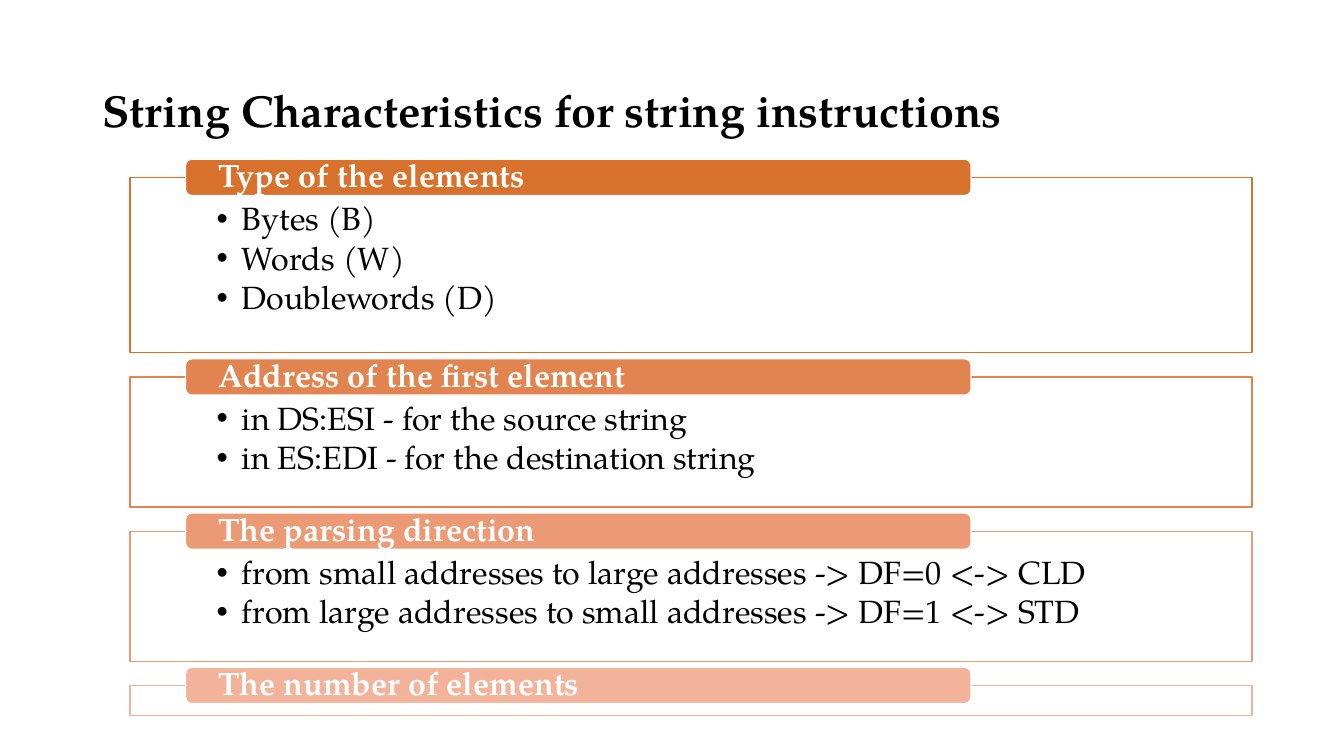
from pptx import Presentation
from pptx.dml.color import RGBColor
from pptx.enum.shapes import MSO_SHAPE
from pptx.enum.text import MSO_ANCHOR, MSO_AUTO_SIZE, PP_ALIGN
from pptx.util import Inches, Pt
from lxml.etree import SubElement
from pptx.oxml.ns import qn

COLORS = {"ink": "000000", "paper": "FFFFFF", "type": "D7712C",
          "address": "E28450", "parsing": "EB9A75", "number": "F3B39B"}
GAP = 0.24
GROUPS = [
    ("type", 1.74, "Type of the elements",
     ["Bytes (B)", "Words (W)", "Doublewords (D)"]),
    ("address", 1.29, "Address of the first element",
     ["in DS:ESI - for the source string",
      "in ES:EDI - for the destination string"]),
    ("parsing", 1.29, "The parsing direction",
     ["from small addresses to large addresses -> DF=0 <-> CLD",
      "from large addresses to small addresses -> DF=1 <-> STD"]),
    ("number", 0.3, "The number of elements", []),
]


def write(frame, lines, size, color, bold, after, **form):
    form = {"word_wrap": True, "auto_size": MSO_AUTO_SIZE.NONE, **form}
    for key, value in form.items():
        setattr(frame, key, value)
    for num, line in enumerate(lines):
        para = frame.paragraphs[0] if num == 0 else frame.add_paragraph()
        style = {"alignment": PP_ALIGN.LEFT, "line_spacing": 0.9,
                 "space_before": Pt(0), "space_after": Pt(after)}
        for key, value in style.items():
            setattr(para, key, value)
        run = para.add_run()
        run.text = line
        face = {"name": "TeX Gyre Pagella", "size": Pt(size), "bold": bold}
        for key, value in face.items():
            setattr(run.font, key, value)
        run.font.color.rgb = RGBColor.from_string(COLORS[color])


def draw(kind, left, top, width, height, fill, line):
    shape = slide.shapes.add_shape(
        kind, Inches(left), Inches(top), Inches(width), Inches(height))
    shape.shadow.inherit = False
    shape.fill.solid()
    shape.fill.fore_color.rgb = RGBColor.from_string(COLORS[fill])
    shape.line.color.rgb = RGBColor.from_string(COLORS[line])
    shape.line.width = Pt(1)
    return shape


deck = Presentation()
deck.slide_width, deck.slide_height = Inches(13.33), Inches(7.5)
slide = deck.slides.add_slide(deck.slide_layouts[5])

title = slide.shapes.title
place = {"left": 0.92, "top": 0.4, "width": 11.5, "height": 1.45}
for key, value in place.items():
    setattr(title, key, Inches(value))
write(title.text_frame, ["String Characteristics for string instructions"],
      32, "ink", True, 0, vertical_anchor=MSO_ANCHOR.MIDDLE)

top = 1.76
for tint, height, head, items in GROUPS:
    box = draw(MSO_SHAPE.RECTANGLE, 1.29, top, 11.13, height, "paper", tint)
    if items:
        write(box.text_frame, items, 23, "ink", False, 3.5,
              vertical_anchor=MSO_ANCHOR.TOP,
              margin_left=Inches(0.86), margin_right=Inches(0.86),
              margin_top=Inches(0.25), margin_bottom=Inches(0.18))
        for para in box.text_frame.paragraphs:
            props = para._p.get_or_add_pPr()
            props.set("marL", str(Inches(0.25)))
            props.set("indent", str(Inches(-0.25)))
            SubElement(props, qn("a:buFont")).set("typeface", "Arial")
            SubElement(props, qn("a:buChar")).set("char", "•")
    label = draw(MSO_SHAPE.ROUNDED_RECTANGLE, 1.84, top - 0.18, 7.79, 0.36,
                 tint, "paper")
    write(label.text_frame, [head], 23, "paper", True, 0,
          vertical_anchor=MSO_ANCHOR.MIDDLE,
          margin_left=Inches(0.31), margin_right=Inches(0.31),
          margin_top=0, margin_bottom=0)
    top += height + GAP

deck.save("out.pptx")
